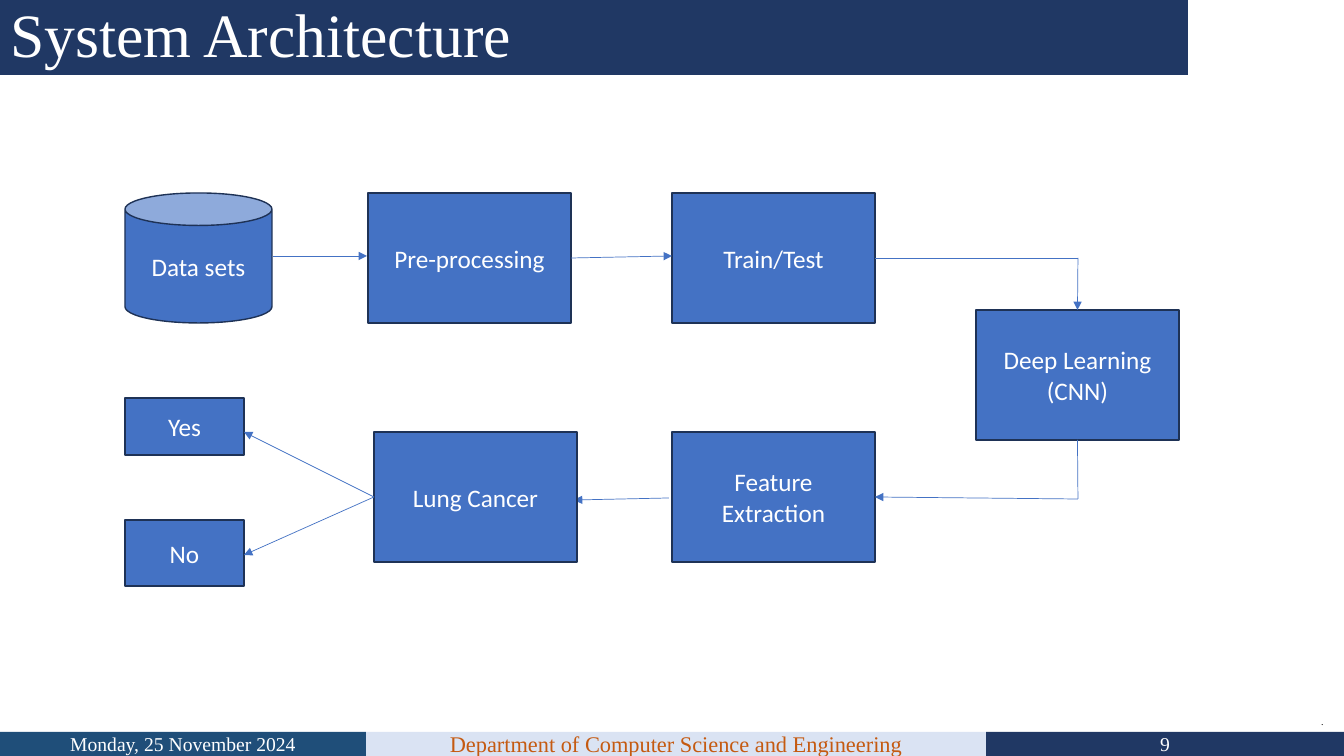
from lxml.etree import SubElement
from pptx import Presentation
from pptx.dml.color import RGBColor
from pptx.enum.shapes import MSO_CONNECTOR, MSO_SHAPE
from pptx.enum.text import MSO_ANCHOR, MSO_AUTO_SIZE, PP_ALIGN
from pptx.oxml.ns import qn
from pptx.util import Pt

EMU_PER_PX = 914400 / 100.8
TOP, LEFT, BOTTOM, RIGHT = range(4)
NAVY, BLUE, OUTLINE, WHITE = "203864", "4472C4", "1E3256", "FFFFFF"
SERIF, SANS = "Times New Roman", "Calibri"


def px(length):
    return round(length * EMU_PER_PX)


def color(value):
    return RGBColor.from_string(value)


class SlideBuilder:
    def __init__(self, presentation):
        layout = presentation.slide_layouts[1]
        self.slide = presentation.slides.add_slide(layout)

    def add_text(self, shape, text, size, font, ink, align=PP_ALIGN.CENTER):
        paragraph = shape.text_frame.paragraphs[0]
        paragraph.alignment = align
        run = paragraph.add_run()
        run.text = text
        run.font.size = Pt(size)
        run.font.name = font
        run.font.color.rgb = color(ink)
        return paragraph

    def paint(self, shape, fill, line=None):
        shape.fill.solid()
        shape.fill.fore_color.rgb = color(fill)
        if line:
            shape.line.color.rgb = color(line)
            shape.line.width = Pt(1)
        else:
            shape.line.fill.background()

    def placeholder(self, index, bounds, text, size, ink, anchor, spacing):
        shape = self.slide.placeholders[index]
        shape.left, shape.top, shape.width, shape.height = map(px, bounds)
        frame = shape.text_frame
        frame.word_wrap = True
        frame.auto_size = MSO_AUTO_SIZE.NONE
        frame.vertical_anchor = anchor
        paragraph = self.add_text(shape, text, size, SERIF, ink, PP_ALIGN.LEFT)
        paragraph.line_spacing = spacing
        return shape, paragraph

    def title(self, bounds, text):
        shape, _ = self.placeholder(0, bounds, text, 44, WHITE,
                                    MSO_ANCHOR.MIDDLE, 0.9)
        self.paint(shape, NAVY)

    def body(self, bounds, text):
        _, paragraph = self.placeholder(1, bounds, text, 7, "000000",
                                        MSO_ANCHOR.TOP, 0.7)
        paragraph.space_before = Pt(10)
        properties = paragraph._p.get_or_add_pPr()
        properties.set("marL", "0")
        properties.set("indent", "0")
        SubElement(properties, qn("a:buNone"))

    def block(self, bounds, text, fill=BLUE, line=OUTLINE, size=18,
              font=SANS, ink=WHITE, kind=MSO_SHAPE.RECTANGLE):
        shape = self.slide.shapes.add_shape(kind, *map(px, bounds))
        shape.shadow.inherit = False
        self.paint(shape, fill, line)
        shape.text_frame.word_wrap = True
        shape.text_frame.vertical_anchor = MSO_ANCHOR.MIDDLE
        self.add_text(shape, text, size, font, ink)
        return shape

    def connect(self, start, end, arrow=True):
        """Each end is an (x, y) point or a (shape, side) pair."""
        connector = self.slide.shapes.add_connector(
            MSO_CONNECTOR.STRAIGHT, 0, 0, 0, 0)
        if isinstance(start[0], int):
            connector.begin_x, connector.begin_y = map(px, start)
        else:
            connector.begin_connect(*start)
        if isinstance(end[0], int):
            connector.end_x, connector.end_y = map(px, end)
        else:
            connector.end_connect(*end)
        connector.line.color.rgb = color(BLUE)
        connector.line.width = Pt(0.5)
        properties = connector._element.spPr
        if arrow:
            SubElement(properties.find(qn("a:ln")), qn("a:tailEnd"),
                       type="triangle")
        SubElement(properties, qn("a:effectLst"))


def main():
    presentation = Presentation()
    presentation.slide_width, presentation.slide_height = px(1344), px(756)
    builder = SlideBuilder(presentation)

    # Title and small body mark
    builder.title((0, 0, 1188, 75), "System Architecture")
    builder.body((1311, 714, 32, 14), ".")

    # Footer band
    footer = [
        (0, 366, "1F4E79", "Monday, 25 November 2024", 14, WHITE),
        (366, 986, "DAE3F3", "Department of Computer Science and Engineering",
         16, "C55A11"),
        (986, 1344, NAVY, "9", 14, WHITE),
    ]
    for left, right, fill, text, size, ink in footer:
        builder.block((left, 732, right - left, 24), text, fill, None,
                      size, SERIF, ink)

    # Processing stages
    builder.block((125, 193, 147, 130), "Data sets", kind=MSO_SHAPE.CAN)
    stages = [
        (368, 193, "Pre-processing"),
        (672, 193, "Train/Test"),
        (976, 310, "Deep Learning (CNN)"),
        (672, 432, "Feature Extraction"),
    ]
    preprocessing, training, learning, extraction = [
        builder.block((left, top, 203, 130), text)
        for left, top, text in stages]

    # Diagnosis and its outcomes; the incoming arrow lies under the box
    builder.connect((669, 498), (574, 500))
    diagnosis = builder.block((374, 432, 203, 130), "Lung Cancer")
    builder.block((125, 398, 119, 57), "Yes")
    builder.block((125, 520, 119, 66), "No")
    for outcome_y in (432, 555):
        builder.connect((diagnosis, LEFT), (244, outcome_y))

    # Flow between stages
    builder.connect((273, 256), (367, 256))
    builder.connect((preprocessing, RIGHT), (672, 256))
    builder.connect((training, RIGHT), (1078, 258), arrow=False)
    builder.connect((1078, 258), (learning, TOP))
    builder.connect((learning, BOTTOM), (1078, 499), arrow=False)
    builder.connect((1078, 499), (extraction, RIGHT))

    presentation.save("out.pptx")


if __name__ == "__main__":
    main()
